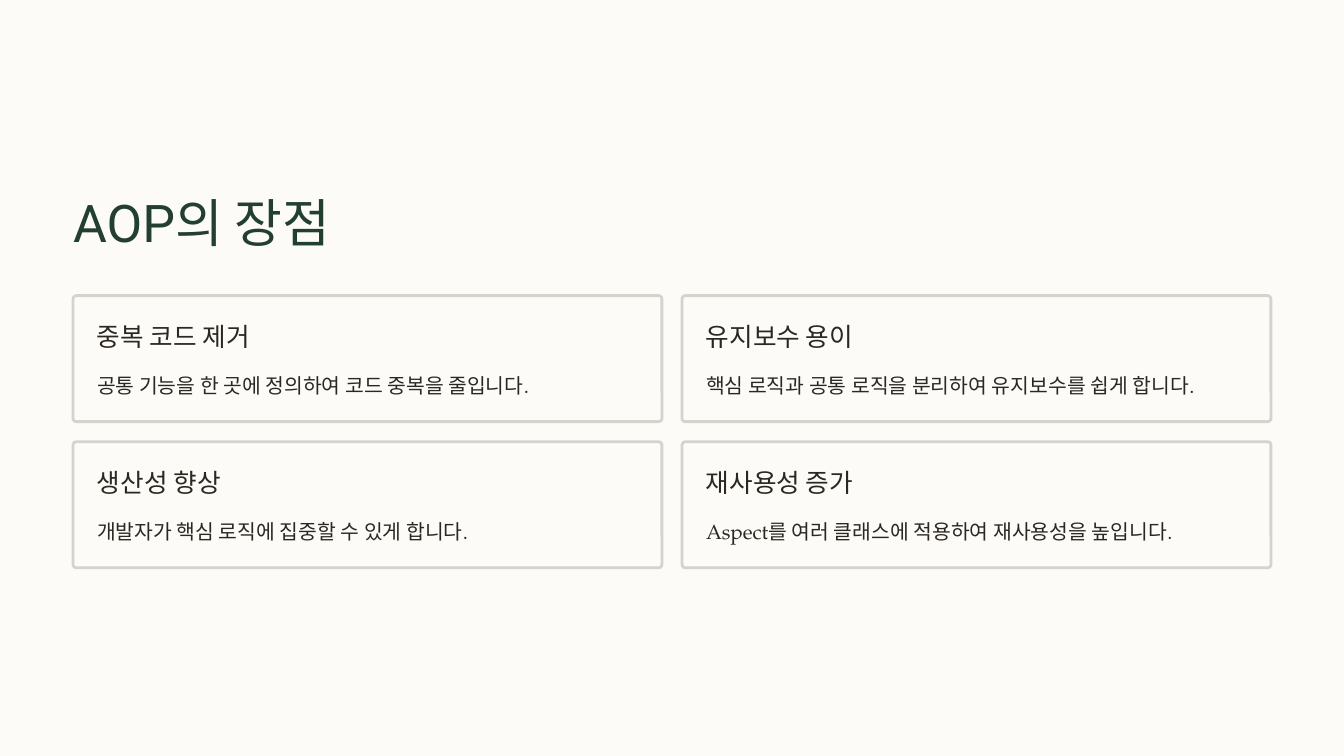
import pptx
import pptx.dml.color
import pptx.enum.shapes
import pptx.enum.text
import pptx.util
from pptx.util import Inches

# Content
TITLE = "AOP의 장점"
BENEFITS = [
    ("중복 코드 제거", "공통 기능을 한 곳에 정의하여 코드 중복을 줄입니다."),
    ("유지보수 용이", "핵심 로직과 공통 로직을 분리하여 유지보수를 쉽게 합니다."),
    ("생산성 향상", "개발자가 핵심 로직에 집중할 수 있게 합니다."),
    ("재사용성 증가", "Aspect를 여러 클래스에 적용하여 재사용성을 높입니다."),
]

# Theme: text styles are (font, size, line spacing, colour)
THEME = {
    "paper": "FCFBF8",
    "border": "D6D3CC",
    "border_width": 2.4,
    "title": ("Roboto", 44.5, 55.5, "233E32"),
    "heading": ("Roboto", 22, 27.5, "2C2821"),
    "body": ("TeX Gyre Pagella", 17.5, 28.5, "2C2821"),
}

# Layout in inches
LEFT, CARDS_TOP = 0.87, 3.52
CARD_W, CARD_H, GAP = 7.01, 1.5, 0.24
COLUMNS, PADDING, BODY_OFFSET = 2, 0.285, 0.815


def color(name):
    return pptx.dml.color.RGBColor.from_string(name)


def add_text(s, text, style, x, y, w, h):
    font, size, spacing, ink = THEME[style]
    tf = s.shapes.add_textbox(Inches(x), Inches(y), Inches(w), Inches(h)).text_frame
    tf.margin_left = tf.margin_right = tf.margin_top = tf.margin_bottom = 0
    tf.word_wrap = False
    tf.vertical_anchor = pptx.enum.text.MSO_ANCHOR.TOP
    p = tf.paragraphs[0]
    p.text = text
    p.line_spacing = pptx.util.Pt(spacing)
    p.font.name = font
    p.font.size = pptx.util.Pt(size)
    p.font.color.rgb = color(ink)


def add_card(s, heading, body, x, y):
    sp = s.shapes.add_shape(
        pptx.enum.shapes.MSO_SHAPE.ROUNDED_RECTANGLE,
        Inches(x), Inches(y), Inches(CARD_W), Inches(CARD_H))
    sp.adjustments[0] = 0.025
    sp.shadow.inherit = False
    sp.fill.solid()
    sp.fill.fore_color.rgb = color(THEME["paper"])
    sp.line.color.rgb = color(THEME["border"])
    sp.line.width = pptx.util.Pt(THEME["border_width"])
    add_text(s, heading, "heading", x + PADDING, y + PADDING, 3.1, 0.39)
    add_text(s, body, "body", x + PADDING, y + BODY_OFFSET, 6.45, 0.4)


def main():
    prs = pptx.Presentation()
    prs.slide_width, prs.slide_height = Inches(16), Inches(9)
    s = prs.slides.add_slide(prs.slide_layouts[6])

    # Background and title
    s.background.fill.solid()
    s.background.fill.fore_color.rgb = color(THEME["paper"])
    add_text(s, TITLE, "title", LEFT, 2.24, 6.2, 0.78)

    # Grid of benefit cards
    for i, (heading, body) in enumerate(BENEFITS):
        row, col = divmod(i, COLUMNS)
        add_card(s, heading, body,
                 LEFT + col * (CARD_W + GAP), CARDS_TOP + row * (CARD_H + GAP))

    prs.save("out.pptx")


if __name__ == "__main__":
    main()
